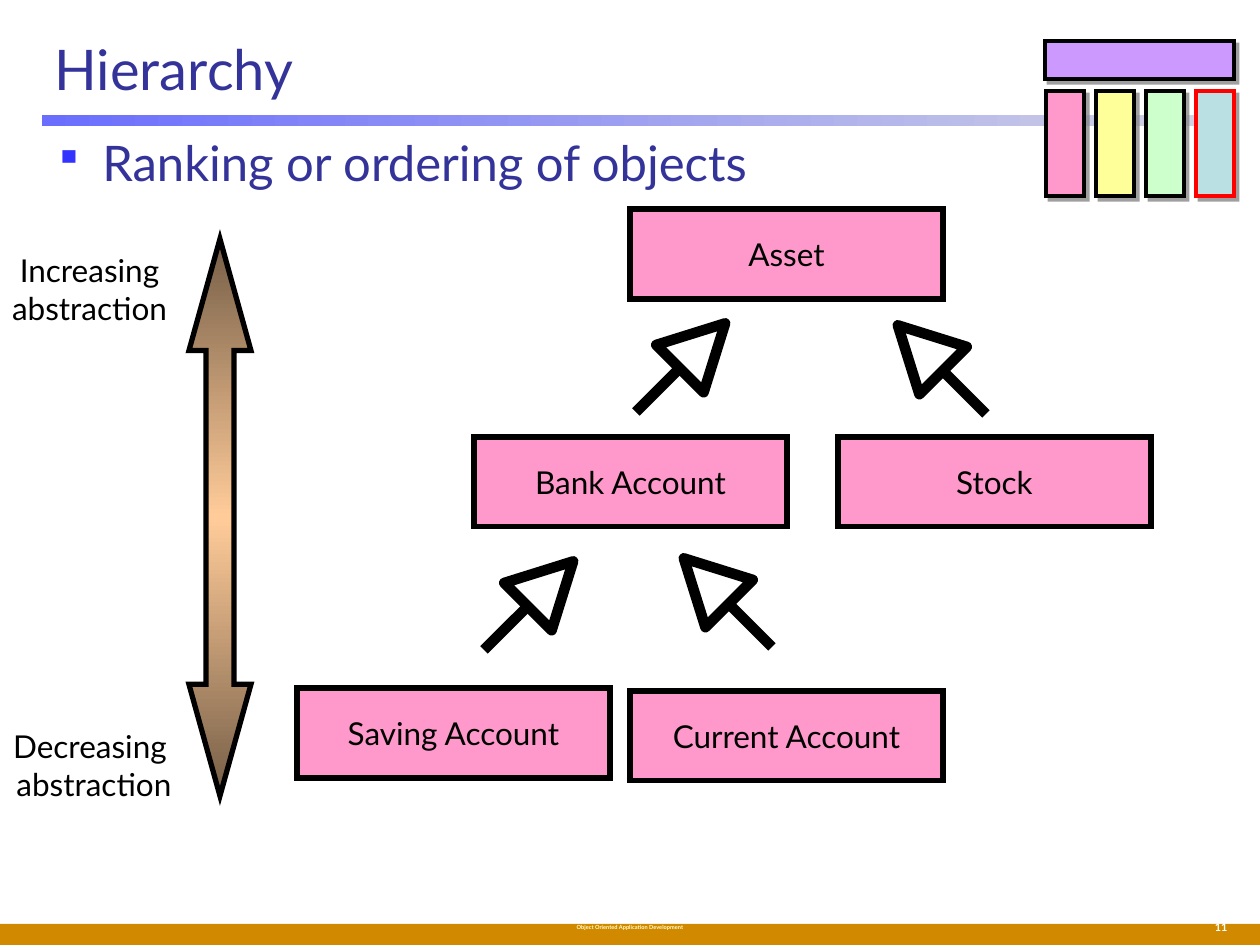
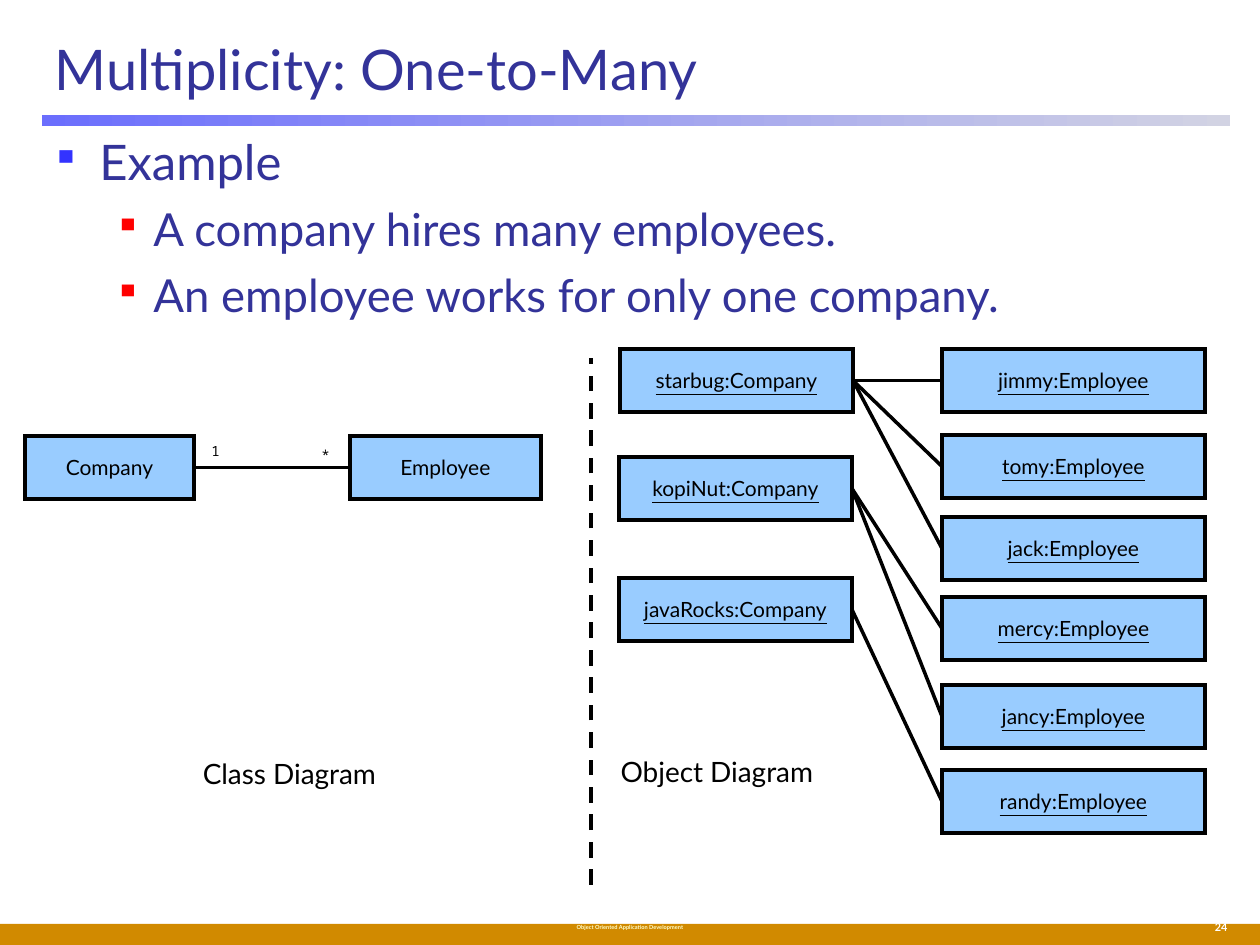
from copy import deepcopy

from lxml.etree import SubElement
from pptx import Presentation
from pptx.dml.color import RGBColor
from pptx.enum.dml import MSO_LINE
from pptx.enum.shapes import MSO_CONNECTOR, MSO_SHAPE as Kind
from pptx.enum.text import MSO_ANCHOR as Anchor, MSO_AUTO_SIZE, PP_ALIGN as Align
from pptx.oxml.ns import qn
from pptx.util import Pt

PX = 7257  # EMU in one px, 126 px to the inch
STRAIGHT = MSO_CONNECTOR.STRAIGHT

BLACK = RGBColor(0x00, 0x00, 0x00)
WHITE = RGBColor(0xFF, 0xFF, 0xFF)
NAVY = RGBColor(0x33, 0x33, 0x99)
BLUE = RGBColor(0x33, 0x33, 0xFF)
RED = RGBColor(0xFF, 0x00, 0x00)
OCHRE = RGBColor(0xD1, 0x8A, 0x00)
CREAM = RGBColor(0xFF, 0xFF, 0xCC)
RULE_L = RGBColor(0x6B, 0x6E, 0xFD)
RULE_R = RGBColor(0xD2, 0xD3, 0xE3)
PINK = RGBColor(0xFF, 0x99, 0xCC)
YELLOW = RGBColor(0xFF, 0xFF, 0x99)
GREEN = RGBColor(0xCC, 0xFF, 0xCC)
TEAL = RGBColor(0xBB, 0xE0, 0xE3)
VIOLET = RGBColor(0xCC, 0x99, 0xFF)
SKY = RGBColor(0x99, 0xCC, 0xFF)
BROWN = RGBColor(0x76, 0x5E, 0x47)
PEACH = RGBColor(0xFF, 0xCC, 0x99)


def write(shape, text, size=18, color=BLACK, font="Lato", align=Align.CENTER,
          anchor=Anchor.TOP, bold=False, under=False, wrap=True, before=0, bullet=None):
    """Add one paragraph to the shape; bullet is (left, hang, colour)."""
    frame = shape.text_frame
    frame.word_wrap, frame.vertical_anchor = wrap, anchor
    frame.auto_size = MSO_AUTO_SIZE.NONE
    para = frame.add_paragraph() if frame.text else frame.paragraphs[0]
    para.alignment = align
    para.space_before = Pt(before)
    if bullet:
        left, hang, tint = bullet
        props = para._p.get_or_add_pPr()
        props.set("marL", str(left * PX))
        props.set("indent", str(-hang * PX))
        SubElement(SubElement(props, qn("a:buClr")), qn("a:srgbClr"), val=str(tint))
        SubElement(props, qn("a:buSzPct"), val="80000")
        SubElement(props, qn("a:buChar"), char="▪")
    run = para.add_run()
    run.text = text
    run.font.name, run.font.size, run.font.color.rgb = font, Pt(size), color
    run.font.bold, run.font.underline = bold, under


def block(slide, spot, kind=Kind.RECTANGLE, fill=None, line=None, width=3, sharp=True):
    """Add a shape at spot in px; a list of fill colours makes a gradient."""
    shape = slide.shapes.add_shape(kind, *[v * PX for v in spot])
    shape.shadow.inherit = False
    if isinstance(fill, list):
        shape.fill.gradient()
        stops = shape._element.spPr.find(qn("a:gradFill")).find(qn("a:gsLst"))
        for _ in fill[2:]:
            stops.append(deepcopy(stops[0]))
        for i, (stop, tint) in enumerate(zip(shape.fill.gradient_stops, fill)):
            stop.color.rgb = tint
            stop.position = i / (len(fill) - 1)
    elif fill is None:
        shape.fill.background()
    else:
        shape.fill.solid()
        shape.fill.fore_color.rgb = fill
    if line is None:
        shape.line.fill.background()
    else:
        shape.line.color.rgb, shape.line.width = line, Pt(width)
        if sharp:
            SubElement(shape._element.spPr.find(qn("a:ln")), qn("a:miter"), lim="800000")
    return shape


deck = Presentation()
deck.slide_width, deck.slide_height = 1260 * PX, 945 * PX
wires = []

# Title, rule and footer of every slide
slides = []
for name, page in (("Hierarchy", "11"), ("Multiplicity: One-to-Many", "24")):
    slide = deck.slides.add_slide(deck.slide_layouts[5])
    slides.append(slide)
    title = slide.shapes.title
    title.left, title.top, title.width, title.height = [v * PX for v in (42, 21, 1187, 95)]
    write(title, name, size=32, color=NAVY, align=Align.LEFT, anchor=Anchor.MIDDLE)
    block(slide, (0, 924, 1260, 21), fill=OCHRE)
    rule = block(slide, (42, 115, 1188, 11), fill=[RULE_L, RULE_R])
    rule.fill.gradient_angle = 0
    number = block(slide, (1061, 914, 179, 30))
    write(number, page, size=6.2, color=WHITE, align=Align.RIGHT, bold=True)
    foot = block(slide, (378, 918, 504, 21))
    write(foot, "Object Oriented Application Development", size=3.2, color=CREAM, bold=True)
tree, links = slides
top = dict(size=28, color=NAVY, align=Align.LEFT, bullet=(48, 48, BLUE))
sub = dict(size=26, color=NAVY, align=Align.LEFT, bullet=(102, 39, RED), before=6.5)

# Slide 1: hierarchy
body = tree.shapes.add_textbox(*[v * PX for v in (42, 126, 1187, 766)])
write(body, "Ranking or ordering of objects", **top)

parts = [((1046 + 50 * i, 91, 38, 105), tint, BLACK)
         for i, tint in enumerate((PINK, YELLOW, GREEN))]
parts += [((1196, 91, 38, 105), TEAL, RED), ((1045, 41, 189, 38), VIOLET, BLACK)]
for spot, tint, edge in parts:
    part = block(tree, spot, fill=tint, line=edge, width=2.25)
    glow = SubElement(part._element.spPr.find(qn("a:effectLst")), qn("a:outerShdw"),
                      dist="38100", dir="2700000", algn="ctr", rotWithShape="0")
    gray = SubElement(glow, qn("a:srgbClr"), val="808080")
    SubElement(gray, qn("a:alpha"), val="75000")

arrow = block(tree, (189, 239, 62, 557), Kind.UP_DOWN_ARROW, [BROWN, PEACH, BROWN], BLACK)
arrow.fill.gradient_angle = 90
# adj1 is the shaft's share of the width, adj2 the head's length in widths
guides = arrow._element.spPr.find(qn("a:prstGeom")).find(qn("a:avLst"))
for guide in list(guides):
    guides.remove(guide)
for name, value in (("adj1", 45000), ("adj2", 180000)):
    SubElement(guides, qn("a:gd"), name=name, fmla=f"val {value}")

for spot, lines in (((-7, 245, 193, 88), ("Increasing", "abstraction")),
                    ((-6, 721, 200, 88), ("Decreasing ", "abstraction"))):
    label = tree.shapes.add_textbox(*[v * PX for v in spot])
    for text in lines:
        write(label, text, wrap=False)

for text, x, y in (("Asset", 630, 209), ("Bank Account", 474, 437), ("Stock", 838, 437),
                   ("Saving Account", 297, 688), ("Current Account", 630, 691)):
    node = block(tree, (x, y, 313, 90), fill=PINK, line=BLACK)
    write(node, text, anchor=Anchor.MIDDLE)

# Open arrows: centre of the head, and 1 for right or -1 for left
for x, y, side in ((702, 346, 1), (920, 348, -1), (550, 584, 1), (706, 581, -1)):
    ends = (x - side * 66, y + 66, x - side * 23, y + 23)
    stem = tree.shapes.add_connector(STRAIGHT, *[v * PX for v in ends])
    wires.append((stem, 6))
    head = block(tree, (x - 33, y - 32, 67, 64), Kind.ISOSCELES_TRIANGLE,
                 line=BLACK, width=6, sharp=False)
    head.rotation = 45 * side % 360

# Slide 2: multiplicity
body = links.shapes.add_textbox(*[v * PX for v in (39, 125, 1187, 766)])
write(body, "Example", **top)
write(body, "A company hires many employees.", **sub)
write(body, "An employee works for only one company.", **sub)

boxes = {}
for text, x, y, wide in (
        ("Company", 25, 436, 169), ("Employee", 350, 436, 191),
        ("starbug:Company", 620, 349, 233), ("kopiNut:Company", 619, 457, 233),
        ("javaRocks:Company", 619, 578, 233),
        ("jimmy:Employee", 942, 349, 263), ("tomy:Employee", 942, 435, 263),
        ("jack:Employee", 942, 517, 263), ("mercy:Employee", 942, 597, 263),
        ("jancy:Employee", 942, 685, 263), ("randy:Employee", 942, 770, 263)):
    boxes[text] = block(links, (x, y, wide, 63), fill=SKY, line=BLACK, width=2)
    write(boxes[text], text, size=12, anchor=Anchor.MIDDLE, under=":" in text, wrap=False)

pairs = [("Company", "Employee")]
for firm, staff in (("starbug", ("jimmy", "tomy", "jack")),
                    ("kopiNut", ("mercy", "jancy")), ("javaRocks", ("randy",))):
    pairs += [(f"{firm}:Company", f"{who}:Employee") for who in staff]
for start, end in pairs:
    link = links.shapes.add_connector(STRAIGHT, 0, 0, 0, 0)
    link.begin_connect(boxes[start], 3)
    link.end_connect(boxes[end], 1)
    wires.append((link, 2))

split = links.shapes.add_connector(STRAIGHT, *[v * PX for v in (591, 885, 591, 358)])
split.line.dash_style = MSO_LINE.DASH
wires.append((split, 2.25))

for text, spot, size, font in (
        ("1", (199, 436, 33, 29), 8, "Noto Sans Mono"),
        ("*", (309, 440, 33, 29), 8, "Noto Sans Mono"),
        ("Class Diagram", (113, 750, 353, 47), 16, "Lato"),
        ("Object Diagram", (541, 748, 352, 47), 16, "Lato")):
    label = links.shapes.add_textbox(*[v * PX for v in spot])
    write(label, text, size=size, font=font)

for wire, width in wires:
    wire.line.color.rgb, wire.line.width = BLACK, Pt(width)
    SubElement(wire._element.spPr, qn("a:effectLst"))

deck.save("out.pptx")
